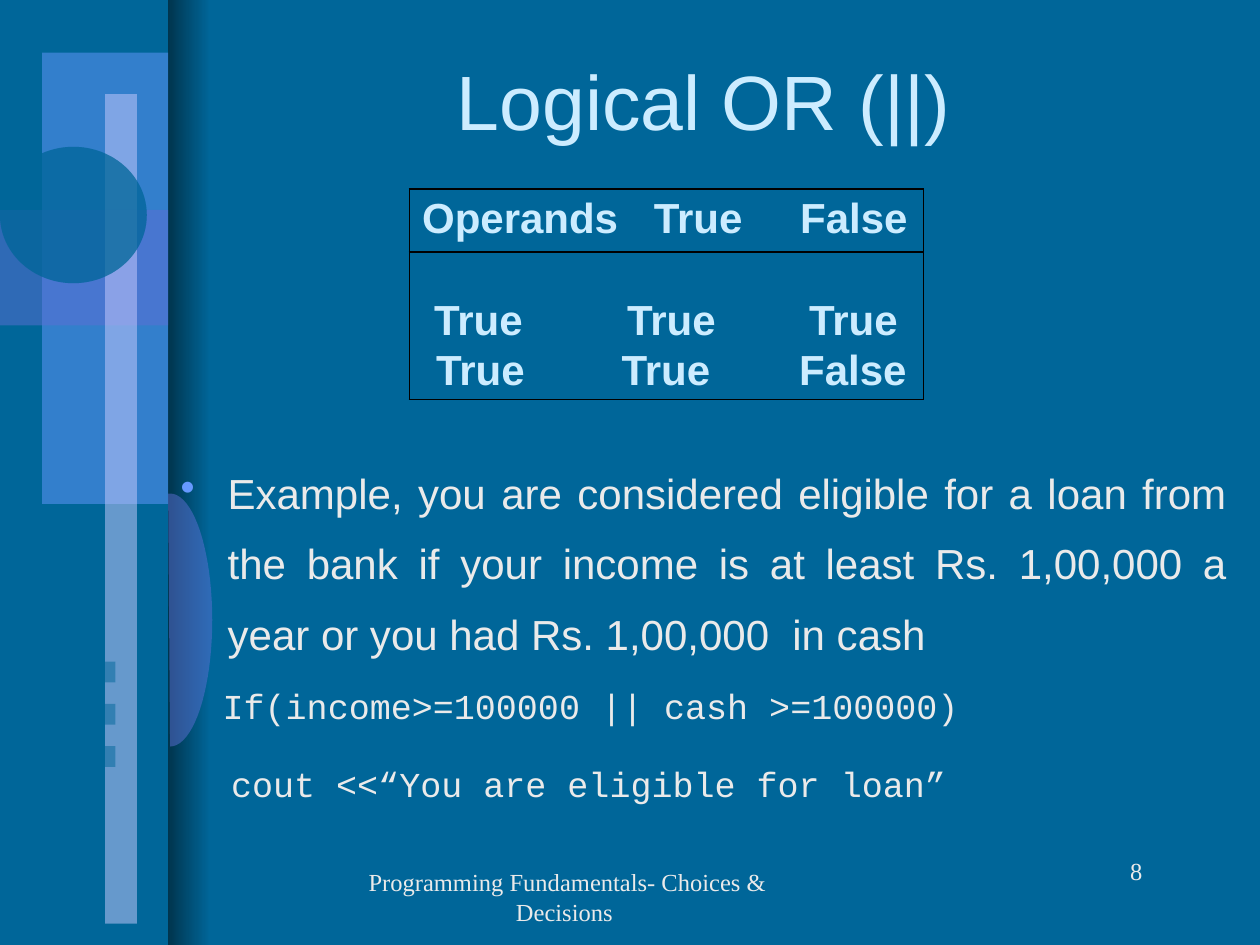
"""Build the slide about the logical OR operator."""
import math

import lxml.etree
import pptx
import pptx.dml.color
import pptx.enum.shapes
import pptx.enum.text
import pptx.oxml.ns
import pptx.util

Cm = pptx.util.Cm
Pt = pptx.util.Pt
RGBColor = pptx.dml.color.RGBColor
SHAPE = pptx.enum.shapes.MSO_SHAPE
ALIGN = pptx.enum.text.PP_ALIGN
qn = pptx.oxml.ns.qn

BACKGROUND = RGBColor(0x00, 0x66, 0x99)
SHADE = RGBColor(0x00, 0x35, 0x4E)
BLUE = RGBColor(0x66, 0x99, 0xFF)
VIOLET = RGBColor(0x5E, 0x6F, 0xD4)
LAVENDER = RGBColor(0xCC, 0xCC, 0xFF)
TITLE_COLOR = RGBColor(0xCC, 0xEC, 0xFF)
TEXT_COLOR = RGBColor(0xEA, 0xEA, 0xEA)
BLACK = RGBColor(0x00, 0x00, 0x00)


def add_text(frame, text, size, font="Arial", color=TEXT_COLOR, bold=False,
             align=ALIGN.LEFT, before=0, spacing=1.0, margin=0, hanging=0, bullet=None):
    frame.word_wrap = True
    paragraph = frame.paragraphs[0]
    if paragraph.runs:
        paragraph = frame.add_paragraph()
    paragraph.alignment = align
    paragraph.space_before = Pt(before)
    paragraph.line_spacing = spacing
    run = paragraph.add_run()
    run.text = text
    run.font.size = Pt(size)
    run.font.name = font
    run.font.bold = bold
    run.font.color.rgb = color
    properties = paragraph._p.get_or_add_pPr()
    properties.set("marL", str(Cm(margin)))
    properties.set("indent", str(-Cm(hanging)))
    if bullet:
        bullet_color = lxml.etree.SubElement(properties, qn("a:buClr"))
        lxml.etree.SubElement(bullet_color, qn("a:srgbClr"), val=str(BLUE))
        lxml.etree.SubElement(properties, qn("a:buChar"), char=bullet)


def fill_half_transparent(shape, color):
    shape.shadow.inherit = False
    shape.line.fill.background()
    shape.fill.solid()
    shape.fill.fore_color.rgb = color
    color_element = shape._element.spPr.find(qn("a:solidFill"))[0]
    lxml.etree.SubElement(color_element, qn("a:alpha"), val="50000")


presentation = pptx.Presentation()
presentation.slide_width = Cm(25.4)
presentation.slide_height = Cm(19.05)
slide = presentation.slides.add_slide(presentation.slide_layouts[6])
slide.background.fill.solid()
slide.background.fill.fore_color.rgb = BACKGROUND
shapes = slide.shapes

fold = shapes.add_shape(SHAPE.RECTANGLE, Cm(3.39), 0, Cm(0.85), Cm(19.05))
fold.shadow.inherit = False
fold.line.fill.background()
fold.fill.gradient()
fold.fill.gradient_angle = 0
for stop, color, position in zip(fold.fill.gradient_stops, (SHADE, BACKGROUND), (0, 1)):
    stop.color.rgb = color
    stop.position = position

disc = (SHAPE.OVAL, 0, 2.96, 2.96, 2.75, BACKGROUND)
decorations = [
    (SHAPE.RECTANGLE, 0.85, 1.06, 2.54, 9.1, BLUE),
    (SHAPE.RECTANGLE, 0, 4.23, 3.39, 2.33, VIOLET),
    (SHAPE.RECTANGLE, 2.12, 1.9, 0.64, 16.72, LAVENDER),
    disc,
]
for index in range(3):
    decorations.append((SHAPE.RECTANGLE, 0, 13.34 + 0.85 * index, 2.33, 0.42, BACKGROUND))
for kind, left, top, width, height, color in decorations:
    shape = shapes.add_shape(kind, Cm(left), Cm(top), Cm(width), Cm(height))
    fill_half_transparent(shape, color)

arc = []
for step in range(41):
    angle = math.pi * (step / 40 - 0.5)
    arc.append((Cm(3.43 + 0.85 * math.cos(angle)), Cm(12.5 + 2.55 * math.sin(angle))))
builder = shapes.build_freeform(Cm(3.39), Cm(9.95))
builder.add_line_segments(arc, close=True)
fill_half_transparent(builder.convert_to_shape(), VIOLET)

kind, left, top, width, height, color = disc
front_disc = shapes.add_shape(kind, Cm(left), Cm(top), Cm(width), Cm(height))
fill_half_transparent(front_disc, color)

footer = shapes.add_textbox(Cm(6.15), Cm(17.36), Cm(10.58), Cm(1.27))
add_text(footer.text_frame, "Programming Fundamentals- Choices & Decisions ", size=14,
         font="Times New Roman", align=ALIGN.CENTER, before=8.8)
number = shapes.add_textbox(Cm(17.99), Cm(17.14), Cm(5.29), Cm(1.27))
add_text(number.text_frame, "8", size=14, font="Times New Roman",
         align=ALIGN.RIGHT, before=8.8)

title = shapes.add_textbox(Cm(3.39), Cm(0.42), Cm(21.59), Cm(3.18))
title.text_frame.vertical_anchor = pptx.enum.text.MSO_ANCHOR.MIDDLE
add_text(title.text_frame, "Logical OR (||)", size=44, color=TITLE_COLOR, align=ALIGN.CENTER)

body = shapes.add_textbox(Cm(3.39), Cm(8.89), Cm(21.59), Cm(7.62))
add_text(body.text_frame,
         "Example, you are considered eligible for a loan from the bank if your income "
         "is at least Rs. 1,00,000 a year or you had Rs. 1,00,000  in cash",
         size=24, align=ALIGN.JUSTIFY, before=5, spacing=1.4,
         margin=0.95, hanging=0.95, bullet="•")
code_lines = [
    ("If(income>=100000 || cash >=100000)", 0.85, 5),
    ("cout <<“You are eligible for loan”", 1.02, 11),
]
for text, margin, before in code_lines:
    add_text(body.text_frame, text, size=20, font="Courier New", align=ALIGN.JUSTIFY,
             before=before, spacing=1.4, margin=margin)

column_widths = (4.28, 3.17, 2.92)
truth_rows = [
    (("Operands", "True", "False"), (0.26, 0.65, 0.43), 1.27, 0.13),
    (("True", "True", "True"), (0.5, 0.11, 0.61), 1.92, 0.91),
    (("True", "True", "False"), (0.54, 0, 0.41), 1.04, 0),
]
truth_table = shapes.add_table(3, 3, Cm(8.25), Cm(3.81), Cm(10.37), Cm(4.23)).table
truth_table.first_row = False
truth_table.horz_banding = False
for column, width in zip(truth_table.columns, column_widths):
    column.width = Cm(width)
for row_index, (values, indents, height, margin_top) in enumerate(truth_rows):
    truth_table.rows[row_index].height = Cm(height)
    for column_index, (value, indent) in enumerate(zip(values, indents)):
        cell = truth_table.cell(row_index, column_index)
        cell.margin_left = Cm(indent)
        cell.margin_top = Cm(margin_top)
        cell.margin_right = cell.margin_bottom = 0
        add_text(cell.text_frame, value, size=24, color=TITLE_COLOR, bold=True)
        borders = {
            "a:lnL": column_index == 0,
            "a:lnR": column_index == 2,
            "a:lnT": row_index < 2,
            "a:lnB": row_index != 1,
        }
        properties = cell._tc.get_or_add_tcPr()
        for tag, visible in borders.items():
            border = lxml.etree.SubElement(properties, qn(tag), w=str(Pt(0.75)))
            if visible:
                line_fill = lxml.etree.SubElement(border, qn("a:solidFill"))
                lxml.etree.SubElement(line_fill, qn("a:srgbClr"), val=str(BLACK))
            else:
                lxml.etree.SubElement(border, qn("a:noFill"))
        cell.fill.background()

presentation.save("out.pptx")
